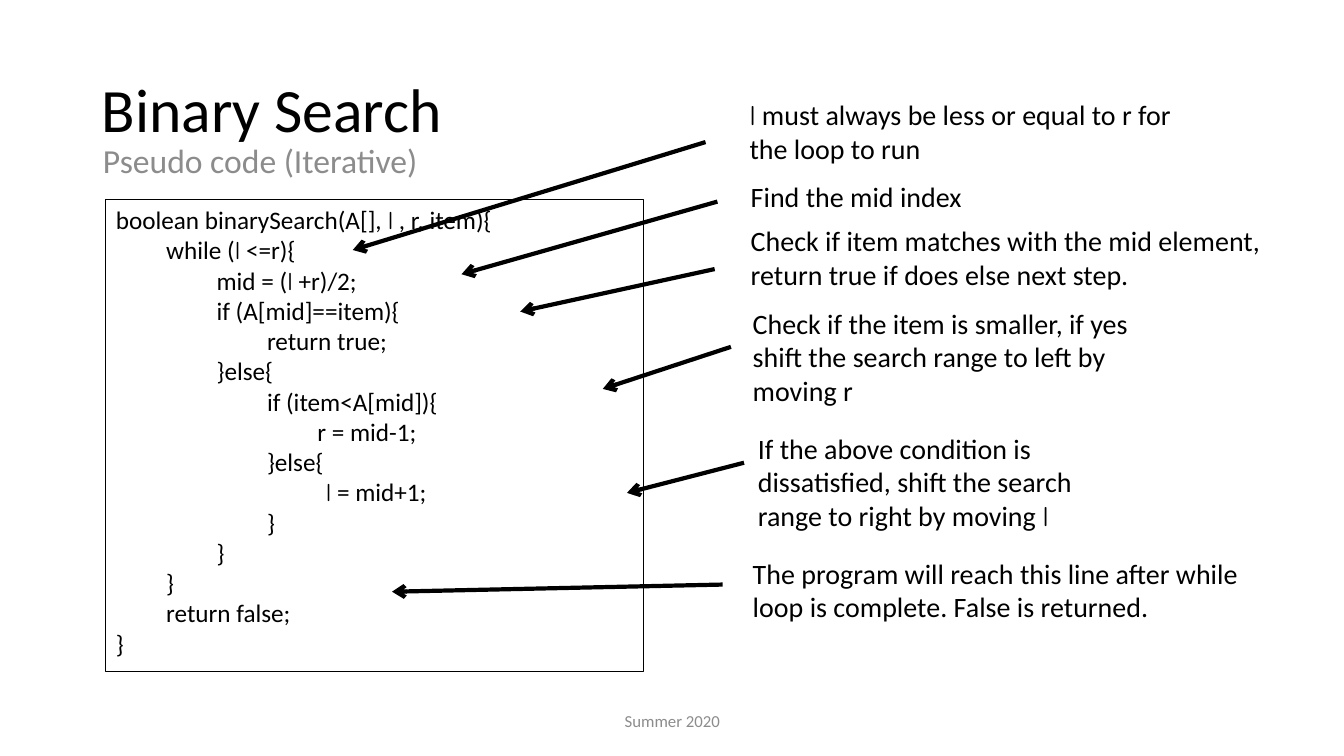
from lxml.etree import SubElement
from pptx import Presentation
from pptx.dml.color import RGBColor
from pptx.enum.shapes import MSO_CONNECTOR, MSO_SHAPE
from pptx.enum.text import MSO_ANCHOR, MSO_AUTO_SIZE, PP_ALIGN
from pptx.oxml.ns import qn
from pptx.util import Cm, Pt

COLORS = {"black": "000000", "gray": "8C8C8C"}
FONT, VARIABLE_FONT = "Calibri", "Comic Neue"


def place(shape, left, top, width, height):
    shape.left, shape.top = Cm(left), Cm(top)
    shape.width, shape.height = Cm(width), Cm(height)


def write(shape, lines, size, color="black", anchor=MSO_ANCHOR.TOP,
          align=PP_ALIGN.LEFT, spacing=1.0):
    """Fill a shape with lines; text between bars is set in the variable font."""
    frame = shape.text_frame
    frame.word_wrap = True
    frame.auto_size = MSO_AUTO_SIZE.NONE
    frame.vertical_anchor = anchor
    for number, line in enumerate(lines):
        paragraph = frame.add_paragraph() if number else frame.paragraphs[0]
        paragraph.alignment = align
        paragraph.line_spacing = spacing
        paragraph.space_before = Pt(0)
        for index, part in enumerate(line.split("|")):
            if part:
                run = paragraph.add_run()
                run.text = part
                run.font.name = VARIABLE_FONT if index % 2 else FONT
                run.font.size = Pt(size)
                run.font.color.rgb = RGBColor.from_string(COLORS[color])


presentation = Presentation()
presentation.slide_width, presentation.slide_height = Cm(33.87), Cm(19.05)
slide = presentation.slides.add_slide(presentation.slide_layouts[1])
shapes = slide.shapes

# Title and subtitle
title = shapes.title
place(title, 2.31, 1.6, 29.21, 2.21)
write(title, ["Binary Search"], 44, anchor=MSO_ANCHOR.BOTTOM, spacing=0.9)

subtitle = slide.placeholders[1]
place(subtitle, 2.34, 3.51, 29.21, 1.57)
properties = subtitle.text_frame.paragraphs[0]._p.get_or_add_pPr()
properties.set("marL", "0")
properties.set("indent", "0")
SubElement(properties, qn("a:buNone"))
write(subtitle, ["Pseudo code (Iterative)"], 24, "gray", spacing=0.9)

# Footer
footer = shapes.add_textbox(Cm(11.23), Cm(17.65), Cm(11.43), Cm(1.02))
write(footer, ["Summer 2020"], 12, "gray", MSO_ANCHOR.MIDDLE, PP_ALIGN.CENTER)

# Pseudo code
CODE = [
    "boolean binarySearch(A[], |l| , r, item){",
    "\twhile (|l| <=r){",
    "\t\tmid = (|l| +r)/2;",
    "\t\tif (A[mid]==item){",
    "\t\t\treturn true;",
    "\t\t}else{",
    "\t\t\tif (item<A[mid]){",
    "\t\t\t\tr = mid-1;",
    "\t\t\t}else{",
    "\t\t\t\t| l| = mid+1;",
    "\t\t\t}",
    "\t\t}",
    "\t}",
    "\treturn false;",
    "}",
]
code_box = shapes.add_shape(MSO_SHAPE.RECTANGLE, Cm(2.67), Cm(5.03), Cm(13.56), Cm(11.89))
code_box.shadow.inherit = False
code_box.fill.background()
code_box.line.color.rgb = RGBColor.from_string(COLORS["black"])
code_box.line.width = Pt(0.75)
code_box.text_frame.margin_right = 0
write(code_box, CODE, 18)

# Explanations: text, box (left, top, width, height), arrow (from x, y, to x, y)
NOTES = [
    ("|l| must always be less or equal to r for the loop to run",
     (18.64, 2.34, 11.79, 1.96), (17.78, 3.58, 8.89, 6.3)),
    ("Find the mid index",
     (18.67, 4.39, 11.96, 1.12), (18.08, 5.08, 11.63, 6.91)),
    ("Check if item matches with the mid element, return true if does else next step.",
     (18.67, 5.51, 13.82, 1.96), (18.01, 6.78, 13.11, 7.85)),
    ("Check if the item is smaller, if yes shift the search range to left by moving r",
     (18.72, 7.59, 10.03, 2.82), (18.42, 8.74, 15.19, 9.8)),
    ("If the above condition is dissatisfied, shift the search range to right by moving |l|",
     (18.85, 10.74, 10.03, 2.82), (18.75, 11.66, 15.8, 12.42)),
    ("The program will reach this line after while loop is complete. False is returned.",
     (18.72, 13.89, 13.03, 1.96), (18.21, 14.73, 9.88, 14.91)),
]
for text, box, ends in NOTES:
    note = shapes.add_textbox(*map(Cm, box))
    write(note, [text], 20)

    arrow = shapes.add_connector(MSO_CONNECTOR.STRAIGHT, *map(Cm, ends))
    arrow.line.color.rgb = RGBColor.from_string(COLORS["black"])
    arrow.line.width = Pt(3)
    SubElement(arrow.line._get_or_add_ln(), qn("a:tailEnd"), type="arrow")
    SubElement(arrow._element.spPr, qn("a:effectLst"))

presentation.save("out.pptx")
